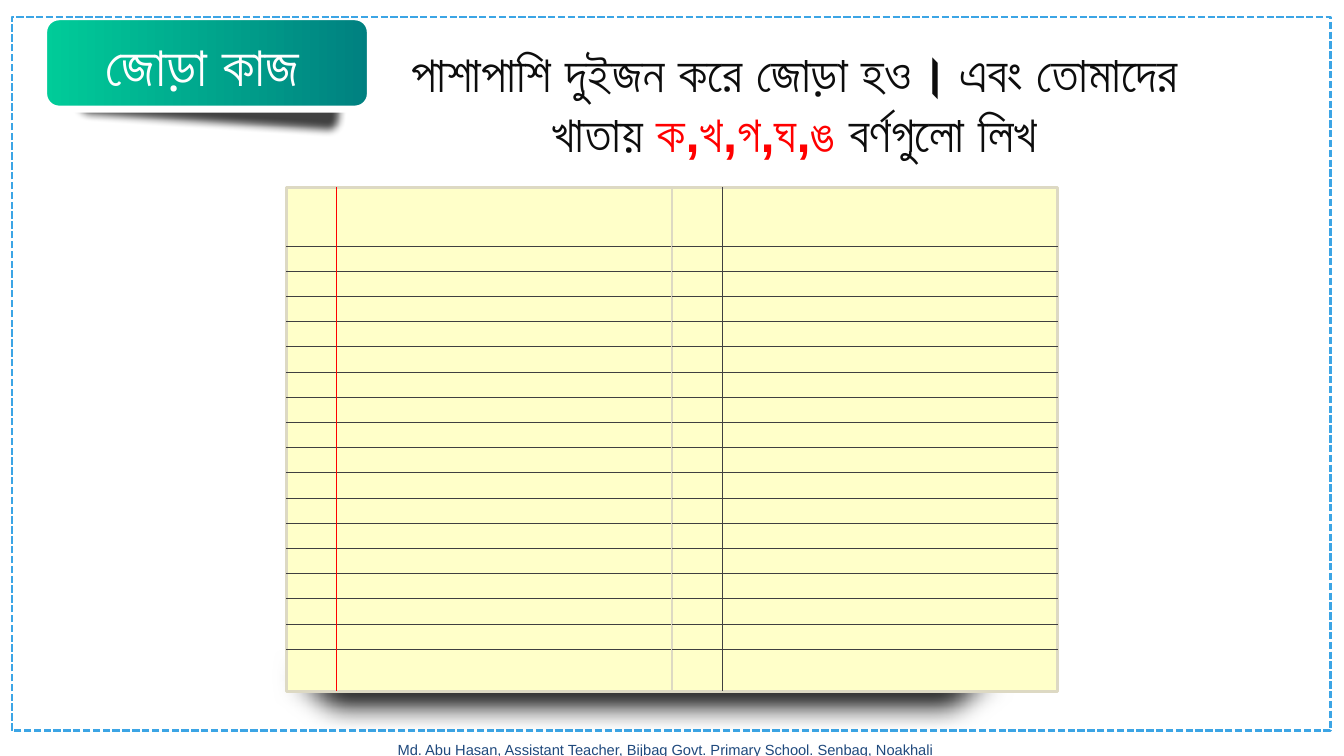
from lxml.etree import SubElement
from pptx import Presentation
from pptx.dml.color import RGBColor
from pptx.enum.dml import MSO_LINE
from pptx.enum.shapes import MSO_CONNECTOR, MSO_SHAPE
from pptx.enum.text import MSO_ANCHOR, PP_ALIGN
from pptx.oxml.ns import qn
from pptx.util import Inches, Pt

WHITE = RGBColor(0xFF, 0xFF, 0xFF)
BLACK = RGBColor(0x00, 0x00, 0x00)
INK = RGBColor(0x0D, 0x0D, 0x0D)
RED = RGBColor(0xFF, 0x00, 0x00)
NAVY = RGBColor(0x1F, 0x49, 0x7D)
SKY = RGBColor(0x3C, 0xA5, 0xE5)
MINT = RGBColor(0x00, 0xCC, 0x99)
TEAL = RGBColor(0x00, 0x80, 0x80)
PAPER = RGBColor(0xFF, 0xFF, 0xC9)
PAPER_EDGE = RGBColor(0xDD, 0xD9, 0xC3)
RULE = RGBColor(0x40, 0x40, 0x40)

COLUMNS, ROWS = 160, 90
FONT = "Arial"


class Board:
    """A slide whose lengths are columns and rows of a 160 by 90 grid."""

    def __init__(self, deck):
        self.column = deck.slide_width / COLUMNS
        self.row = deck.slide_height / ROWS
        self.page = deck.slides.add_slide(deck.slide_layouts[5])

    def cells(self, left, top, width, height):
        return (round(left * self.column), round(top * self.row),
                round(width * self.column), round(height * self.row))

    def set_spans(self, box, spans, size, bold=False):
        frame = box.text_frame
        frame.word_wrap = True
        frame.vertical_anchor = MSO_ANCHOR.TOP
        para = frame.paragraphs[0]
        para.alignment = PP_ALIGN.CENTER
        for words, color in spans:
            span = para.add_run()
            span.text = words
            span.font.name = FONT
            span.font.size = Pt(size)
            span.font.bold = bold
            span.font.color.rgb = color

    def title(self, area, spans, size):
        box = self.page.shapes.title
        box.left, box.top, box.width, box.height = self.cells(*area)
        self.set_spans(box, spans, size, bold=True)

    def text(self, area, words, size, color, bold=False):
        box = self.page.shapes.add_textbox(*self.cells(*area))
        self.set_spans(box, [(words, color)], size, bold)

    def shape(self, kind, area, fill=None, edge=None, weight=1, dash=None):
        shape = self.page.shapes.add_shape(kind, *self.cells(*area))
        shape.shadow.inherit = False
        if fill is None:
            shape.fill.background()
        else:
            shape.fill.solid()
            shape.fill.fore_color.rgb = fill
        if edge is None:
            shape.line.fill.background()
        else:
            shape.line.color.rgb = edge
            shape.line.width = Pt(weight)
            shape.line.dash_style = dash
        return shape

    def soft_shadow(self, kind, area, rotation, blur, opacity=100):
        shape = self.shape(kind, area, BLACK)
        shape.rotation = rotation
        properties = shape._element.spPr
        color = properties.find(qn("a:solidFill"))[0]
        SubElement(color, qn("a:alpha"), val=str(opacity * 1000))
        effects = properties.find(qn("a:effectLst"))
        SubElement(effects, qn("a:softEdge"), rad=str(int(Pt(blur))))
        return shape

    def line(self, left, top, width, height, color):
        x, y, across, down = self.cells(left, top, width, height)
        line = self.page.shapes.add_connector(
            MSO_CONNECTOR.STRAIGHT, x, y, x + across, y + down)
        line.line.color.rgb = color
        line.line.width = Pt(0.75)
        SubElement(line._element.spPr, qn("a:effectLst"))

    def notebook_page(self, left, top, width, height, margin_color):
        self.shape(MSO_SHAPE.RECTANGLE, (left, top, width, height),
                   PAPER, PAPER_EDGE, 2)
        for number in range(17):
            self.line(left, top + 7 + 3 * number, width, 0, RULE)
        self.line(left + 6, top, 0, height, margin_color)


def main():
    deck = Presentation()
    deck.slide_width, deck.slide_height = Inches(13.33), Inches(7.5)
    board = Board(deck)

    # Footer and task
    board.text((42, 87.6, 74.5, 3.4),
               "Md. Abu Hasan, Assistant Teacher, Bijbag Govt. Primary School. "
               "Senbag, Noakhali", 10.5, NAVY)
    board.title((45.8, 4.4, 97.5, 15.7),
                [("পাশাপাশি দুইজন করে জোড়া হও। এবং তোমাদের খাতায় ", INK),
                 ("ক,খ,গ,ঘ,ঙ ", RED),
                 ("বর্ণগুলো লিখ", INK)], 36)

    # Pair-work badge
    board.soft_shadow(MSO_SHAPE.ROUNDED_RECTANGLE, (8.6, 7, 32.8, 8.5),
                      rotation=3.7, blur=6, opacity=75)
    badge = board.shape(MSO_SHAPE.ROUNDED_RECTANGLE, (5.2, 2, 38.9, 11),
                        MINT, WHITE, 5)
    badge.fill.gradient()
    badge.fill.gradient_angle = 0
    for stop, color in zip(badge.fill.gradient_stops, (MINT, TEAL)):
        stop.color.rgb = color
    board.text((6.6, 3, 35, 9.2), "জোড়া কাজ", 40, WHITE, bold=True)

    # Dashed frame
    board.shape(MSO_SHAPE.RECTANGLE, (1.4, 2, 157, 85),
                edge=SKY, weight=1.75, dash=MSO_LINE.SQUARE_DOT)

    # Open notebook
    shadow = board.soft_shadow(MSO_SHAPE.TRAPEZOID, (24.1, 77.2, 104.9, 10),
                               rotation=180, blur=20)
    shadow.adjustments[0] = 1.25
    page_width = 45.9
    for number, margin_color in enumerate((RED, RULE)):
        board.notebook_page(34.1 + number * page_width, 22.3,
                            page_width, 60, margin_color)

    deck.save("out.pptx")


if __name__ == "__main__":
    main()
